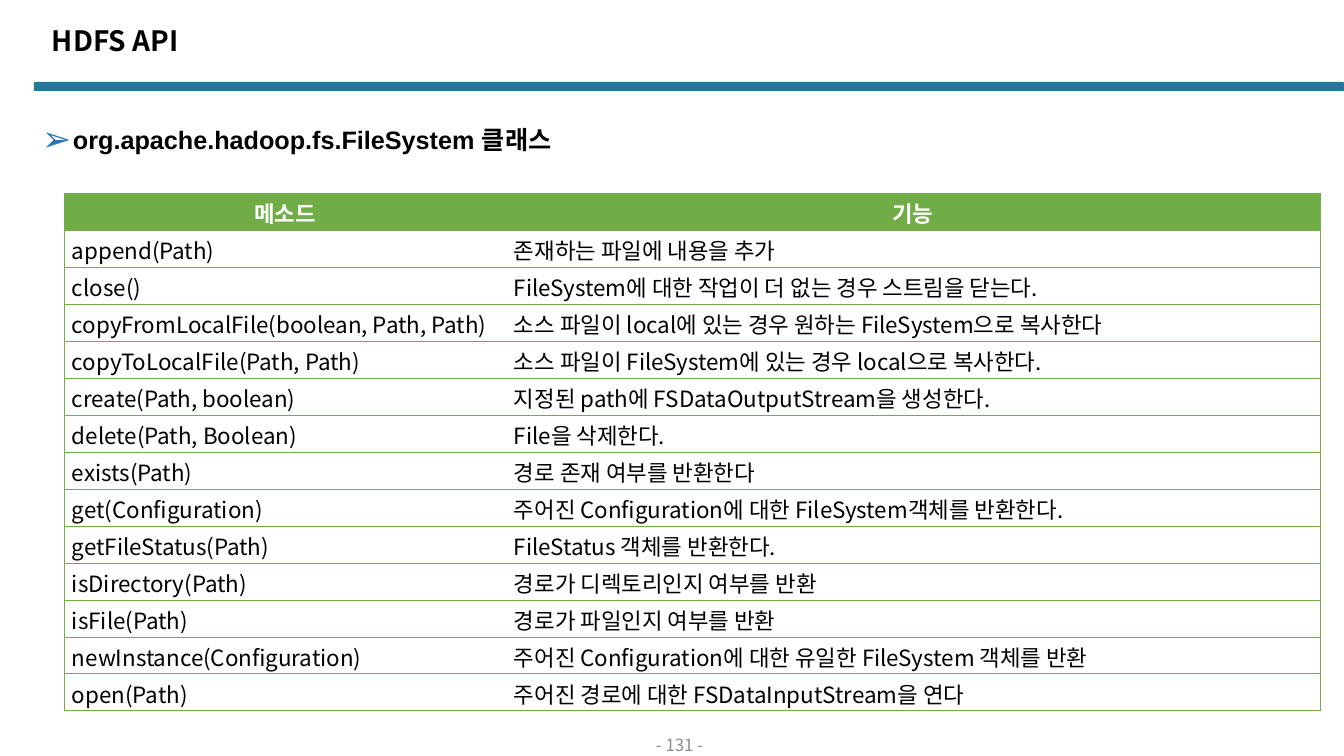
from lxml import etree
from pptx import Presentation
from pptx.dml.color import RGBColor
from pptx.enum.shapes import MSO_SHAPE
from pptx.enum.text import MSO_ANCHOR, MSO_AUTO_SIZE, PP_ALIGN
from pptx.oxml.ns import qn
from pptx.util import Emu, Pt

ROUNDED = MSO_SHAPE.ROUNDED_RECTANGLE
TOP, MIDDLE = MSO_ANCHOR.TOP, MSO_ANCHOR.MIDDLE
LEFT, CENTER = PP_ALIGN.LEFT, PP_ALIGN.CENTER
NO_FIT, GROW = MSO_AUTO_SIZE.NONE, MSO_AUTO_SIZE.SHAPE_TO_FIT_TEXT

BLACK = RGBColor(0x00, 0x00, 0x00)
WHITE = RGBColor(0xFF, 0xFF, 0xFF)
TEAL = RGBColor(0x22, 0x77, 0x9B)
BLUE = RGBColor(0x2E, 0x75, 0xB6)
GREEN = RGBColor(0x70, 0xAD, 0x47)
GRAY = RGBColor(0x8C, 0x8C, 0x8C)

SANS = "Noto Sans CJK KR"
ARIAL = "Arial"
EMU_PER_PX = 914400 / 100.8
ROW_HEIGHT = 37
COLUMN_WIDTHS = (442, 814)

HEADINGS = ("메소드", "기능")
METHODS = [
    ("append(Path)", "존재하는 파일에 내용을 추가"),
    ("close()", "FileSystem에 대한 작업이 더 없는 경우 스트림을 닫는다."),
    ("copyFromLocalFile(boolean, Path, Path)",
     "소스 파일이 local에 있는 경우 원하는 FileSystem으로 복사한다"),
    ("copyToLocalFile(Path, Path)",
     "소스 파일이 FileSystem에 있는 경우 local으로 복사한다."),
    ("create(Path, boolean)", "지정된 path에 FSDataOutputStream을 생성한다."),
    ("delete(Path, Boolean)", "File을 삭제한다."),
    ("exists(Path)", "경로 존재 여부를 반환한다"),
    ("get(Configuration)",
     "주어진 Configuration에 대한 FileSystem객체를 반환한다."),
    ("getFileStatus(Path)", "FileStatus 객체를 반환한다."),
    ("isDirectory(Path)", "경로가 디렉토리인지 여부를 반환"),
    ("isFile(Path)", "경로가 파일인지 여부를 반환"),
    ("newInstance(Configuration)",
     "주어진 Configuration에 대한 유일한 FileSystem 객체를 반환"),
    ("open(Path)", "주어진 경로에 대한 FSDataInputStream을 연다"),
]


def px(length):
    return Emu(round(length * EMU_PER_PX))


def place(shape, left, top, width, height):
    shape.left, shape.top = px(left), px(top)
    shape.width, shape.height = px(width), px(height)


def set_frame(frame, anchor, fit, side=0):
    frame.word_wrap = True
    frame.auto_size = fit
    frame.vertical_anchor = anchor
    frame.margin_left = frame.margin_right = px(side)
    frame.margin_top = frame.margin_bottom = 0


def add_span(para, text, size, color, font=SANS, bold=False):
    span = para.add_run()
    span.text = text
    span.font.size = Pt(size)
    span.font.bold = bold
    span.font.color.rgb = color
    span.font.name = font
    east_asian = etree.SubElement(span._r.get_or_add_rPr(), qn("a:ea"))
    east_asian.set("typeface", SANS)


def add_bullet(para, char, color, percent, indent):
    props = para._p.get_or_add_pPr()
    props.set("marL", str(px(indent)))
    props.set("indent", str(-px(indent)))
    bullet_color = etree.SubElement(props, qn("a:buClr"))
    etree.SubElement(bullet_color, qn("a:srgbClr")).set("val", str(color))
    etree.SubElement(props, qn("a:buSzPct")).set("val", str(percent * 1000))
    etree.SubElement(props, qn("a:buFont")).set("typeface", ARIAL)
    etree.SubElement(props, qn("a:buChar")).set("char", char)


def add_bar(slide):
    bar = slide.shapes.add_shape(ROUNDED, px(34), px(82), px(1310), px(9))
    bar.adjustments[0] = 0.13
    bar.shadow.inherit = False
    bar.fill.solid()
    bar.fill.fore_color.rgb = TEAL
    bar.line.fill.background()


def fill_title(title, text):
    place(title, 42, 27, 1210, 47)
    set_frame(title.text_frame, TOP, NO_FIT, side=10)
    para = title.text_frame.paragraphs[0]
    para.alignment = LEFT
    para.line_spacing = 0.9
    add_span(para, text, 20, BLACK, bold=True)


def fill_body(body, text):
    place(body, 42, 124, 1199, 30)
    set_frame(body.text_frame, TOP, GROW)
    para = body.text_frame.paragraphs[0]
    add_bullet(para, "➢", BLUE, 140, 31)
    para.space_before = Pt(0)
    add_span(para, text, 18, BLACK, font=ARIAL, bold=True)


def add_page_number(slide, text):
    box = slide.shapes.add_textbox(px(523), px(733), px(313), px(23))
    set_frame(box.text_frame, MIDDLE, NO_FIT)
    para = box.text_frame.paragraphs[0]
    para.alignment = CENTER
    add_span(para, text, 12, GRAY)


def set_borders(cell, visible):
    """Draw the named sides in green and hide the others."""
    props = cell._tc.get_or_add_tcPr()
    for side in "LRTB":
        line = etree.SubElement(props, qn(f"a:ln{side}"), w=str(Pt(0.5)))
        if side in visible:
            fill = etree.SubElement(line, qn("a:solidFill"))
            etree.SubElement(fill, qn("a:srgbClr")).set("val", str(GREEN))
        else:
            etree.SubElement(line, qn("a:noFill"))


def fill_cell(cell, text, header, outer_side):
    set_borders(cell, "TB" + outer_side)
    cell.fill.solid()
    cell.fill.fore_color.rgb = GREEN if header else WHITE
    cell.margin_left = cell.margin_right = px(8)
    cell.margin_top, cell.margin_bottom = px(4), 0
    para = cell.text_frame.paragraphs[0]
    para.alignment = CENTER if header else LEFT
    add_span(para, text, 16, WHITE if header else BLACK, bold=header)


def add_method_table(slide):
    rows = [HEADINGS, *METHODS]
    frame = slide.shapes.add_table(
        len(rows), len(HEADINGS), px(64), px(193),
        px(sum(COLUMN_WIDTHS)), px(ROW_HEIGHT * len(rows)))
    table = frame.table
    table.horz_banding = False
    for column, width in zip(table.columns, COLUMN_WIDTHS):
        column.width = px(width)
    for r, texts in enumerate(rows):
        table.rows[r].height = px(ROW_HEIGHT)
        for c, text in enumerate(texts):
            fill_cell(table.cell(r, c), text, r == 0, "LR"[c])


def main():
    deck = Presentation()
    deck.slide_width, deck.slide_height = px(1344), px(756)
    slide = deck.slides.add_slide(deck.slide_layouts[1])
    add_bar(slide)
    fill_title(slide.shapes.title, "HDFS API")
    fill_body(slide.placeholders[1], "org.apache.hadoop.fs.FileSystem 클래스")
    add_method_table(slide)
    add_page_number(slide, "- 131 -")
    deck.save("out.pptx")


if __name__ == "__main__":
    main()
